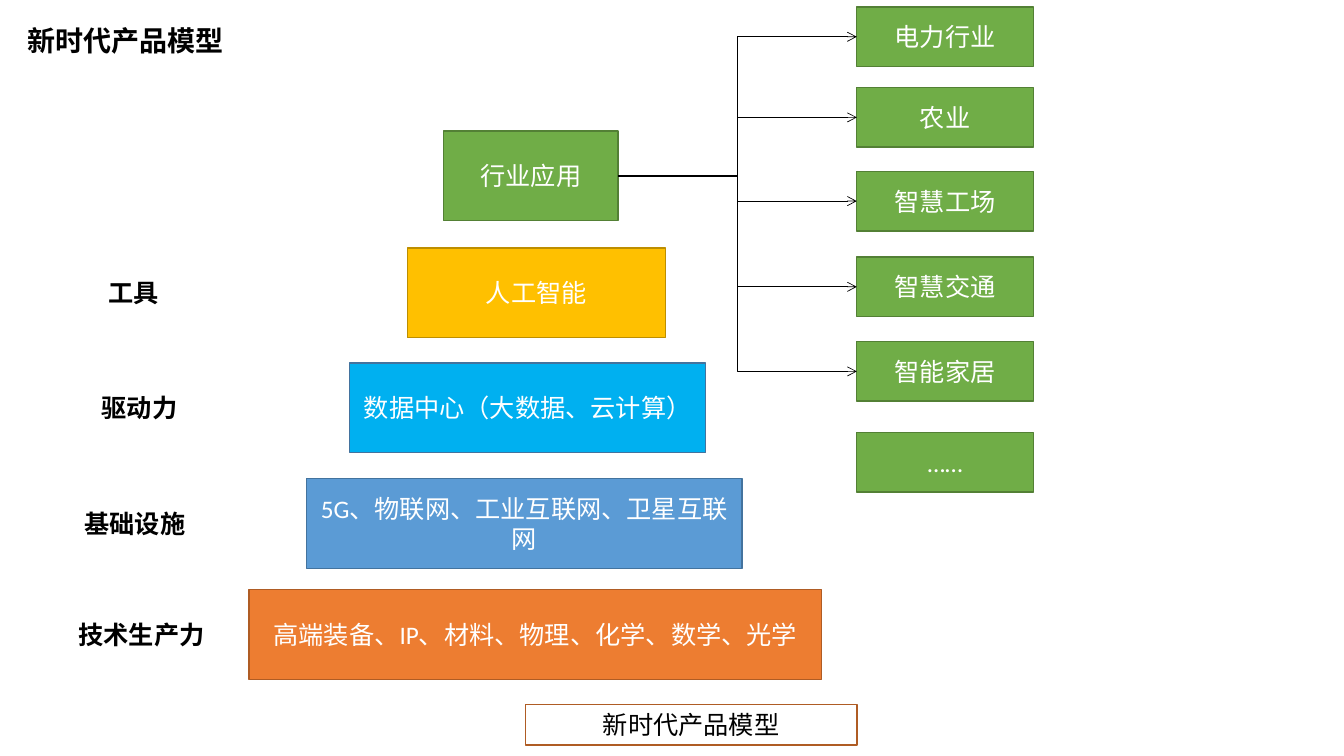
from lxml.etree import SubElement
from pptx import Presentation
from pptx.dml.color import RGBColor
from pptx.enum.shapes import MSO_CONNECTOR, MSO_SHAPE
from pptx.enum.text import MSO_ANCHOR, MSO_AUTO_SIZE, PP_ALIGN
from pptx.oxml.ns import qn
from pptx.util import Inches, Pt

BLACK = RGBColor(0x00, 0x00, 0x00)
WHITE = RGBColor(0xFF, 0xFF, 0xFF)
GREEN = RGBColor(0x70, 0xAD, 0x47)
DARK_GREEN = RGBColor(0x53, 0x80, 0x35)
GOLD = RGBColor(0xFF, 0xC0, 0x00)
DARK_GOLD = RGBColor(0xBD, 0x8E, 0x00)
SKY = RGBColor(0x00, 0xB0, 0xF0)
BLUE = RGBColor(0x5B, 0x9B, 0xD5)
DARK_BLUE = RGBColor(0x43, 0x73, 0x9E)
ORANGE = RGBColor(0xED, 0x7D, 0x31)
DARK_ORANGE = RGBColor(0xAF, 0x5C, 0x24)

LATIN_FONT = "Calibri"
CHINESE_FONT = "Noto Sans CJK SC"
TITLE = "新时代产品模型"

LAYER_HEIGHT = 11.87
LABEL_HEIGHT = 5.33
LAYERS = [
    ("行业应用", 33, 17.33, 13, GREEN, DARK_GREEN),
    ("人工智能", 30.3, 32.8, 19.2, GOLD, DARK_GOLD),
    ("数据中心（大数据、云计算）", 26.03, 48, 26.48, SKY, DARK_BLUE),
    ("5G、物联网、工业互联网、卫星互联网", 22.8, 63.33, 32.4, BLUE, DARK_BLUE),
    ("高端装备、IP、材料、物理、化学、数学、光学", 18.53, 78, 42.6, ORANGE, DARK_ORANGE),
]
LABELS = [
    ("工具", 7.35, 6.98),
    ("驱动力", 6.83, 8.03),
    ("基础设施", 5.55, 10.5),
    ("技术生产力", 5.1, 10.95),
]
INDUSTRIES = [
    ("电力行业", 0.93),
    ("农业", 11.6),
    ("智慧工场", 22.67),
    ("智慧交通", 34),
    ("智能家居", 45.2),
    ("……", 57.2),
]


class ModelSlide:
    def __init__(self, presentation):
        self.column = presentation.slide_width / 100
        self.row = presentation.slide_height / 100
        self.slide = presentation.slides.add_slide(presentation.slide_layouts[5])

    def place(self, left, top, width, height):
        return (round(left * self.column), round(top * self.row),
                round(width * self.column), round(height * self.row))

    def set_text(self, shape, text, size=18, color=BLACK, bold=False,
                 align=PP_ALIGN.LEFT, anchor=MSO_ANCHOR.TOP, font=LATIN_FONT):
        frame = shape.text_frame
        frame.text = text
        frame.word_wrap = True
        frame.auto_size = MSO_AUTO_SIZE.NONE
        frame.vertical_anchor = anchor
        paragraph = frame.paragraphs[0]
        paragraph.alignment = align
        run = paragraph.runs[0]
        run.font.size = Pt(size)
        run.font.bold = bold
        run.font.color.rgb = color
        run.font.name = font
        SubElement(run._r.get_or_add_rPr(), qn("a:ea"), typeface=CHINESE_FONT)
        return paragraph

    def title(self, text, *area):
        shape = self.slide.shapes.title
        shape.left, shape.top, shape.width, shape.height = self.place(*area)
        paragraph = self.set_text(shape, text, 20, bold=True, anchor=MSO_ANCHOR.MIDDLE)
        paragraph.line_spacing = 0.9

    def box(self, text, area, fill, outline, color=WHITE, anchor=MSO_ANCHOR.MIDDLE):
        shape = self.slide.shapes.add_shape(MSO_SHAPE.RECTANGLE, *self.place(*area))
        shape.shadow.inherit = False
        if fill is None:
            shape.fill.background()
        else:
            shape.fill.solid()
            shape.fill.fore_color.rgb = fill
        shape.line.color.rgb = outline
        shape.line.width = Pt(1)
        self.set_text(shape, text, color=color, align=PP_ALIGN.CENTER, anchor=anchor)
        return shape

    def label(self, text, *area):
        shape = self.slide.shapes.add_textbox(*self.place(*area))
        self.set_text(shape, text, bold=True, font=CHINESE_FONT)

    def arrow(self, source, target):
        connector = self.slide.shapes.add_connector(MSO_CONNECTOR.ELBOW, 0, 0, 0, 0)
        connector.begin_connect(source, 3)
        connector.end_connect(target, 1)
        connector.line.color.rgb = BLACK
        connector.line.width = Pt(0.5)
        properties = connector._element.spPr
        SubElement(properties.find(qn("a:ln")), qn("a:tailEnd"), type="arrow")
        SubElement(properties, qn("a:effectLst"))


def main():
    presentation = Presentation()
    presentation.slide_width = Inches(13.33)
    presentation.slide_height = Inches(7.5)
    model = ModelSlide(presentation)

    model.title(TITLE, 1.28, 1.6, 18.68, 8.13)
    layers = [model.box(text, (left, top, width, LAYER_HEIGHT), fill, outline)
              for text, left, top, width, fill, outline in LAYERS]
    for (text, left, width), layer in zip(LABELS, LAYERS[1:]):
        top = layer[2] + (LAYER_HEIGHT - LABEL_HEIGHT) / 2
        model.label(text, left, top, width, LABEL_HEIGHT)

    industries = [model.box(text, (63.75, top, 13.13, 7.87), GREEN, DARK_GREEN)
                  for text, top in INDUSTRIES]
    for industry in industries[:-1]:
        model.arrow(layers[0], industry)

    model.box(TITLE, (39.08, 93.2, 24.68, LABEL_HEIGHT), None, DARK_ORANGE,
              BLACK, MSO_ANCHOR.TOP)
    presentation.save("out.pptx")


if __name__ == "__main__":
    main()
